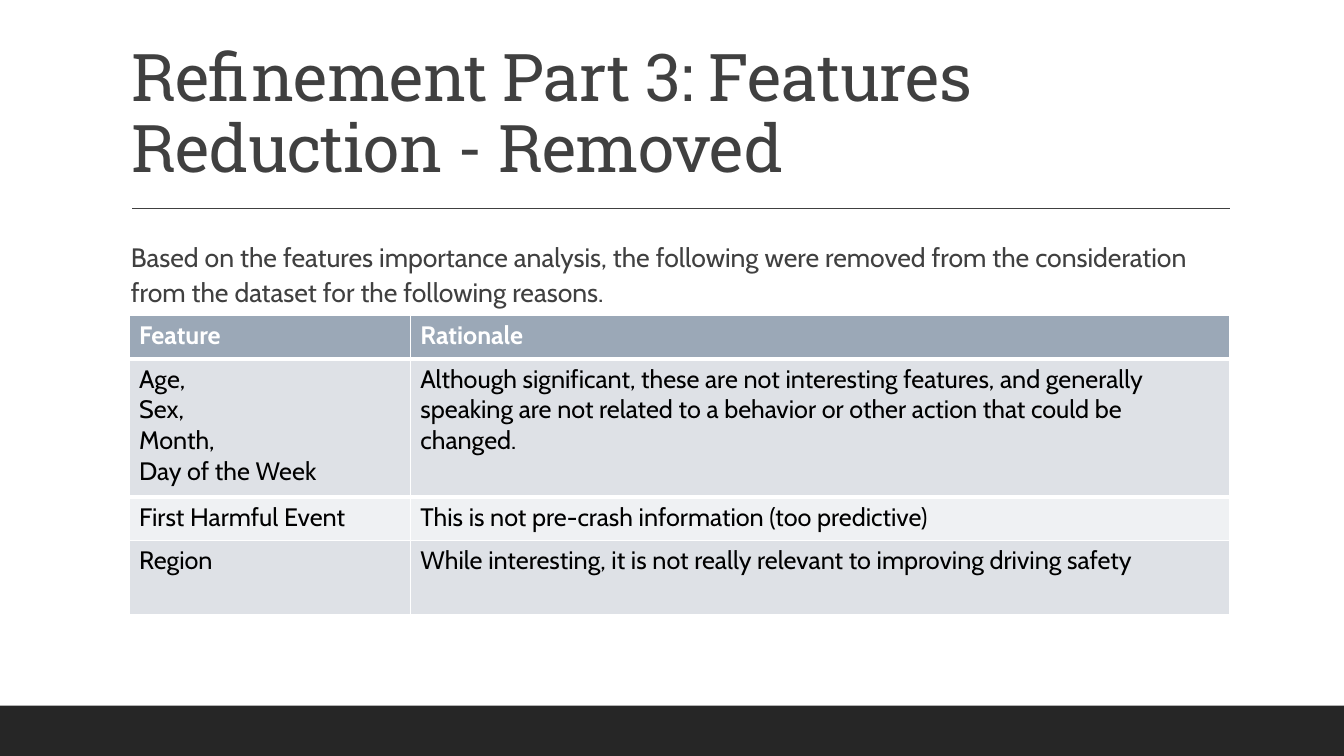
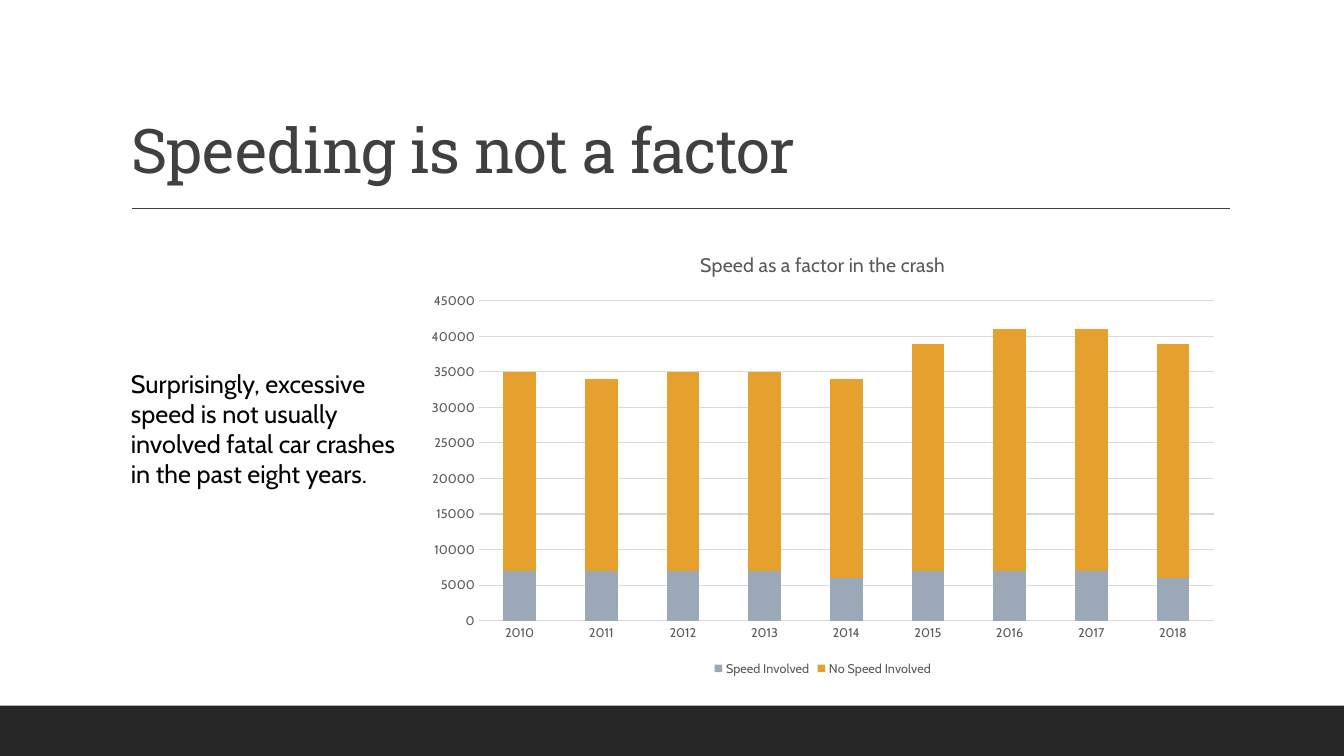
from lxml import etree
from pptx import Presentation
from pptx.chart.data import CategoryChartData
from pptx.dml.color import RGBColor
from pptx.enum import chart as ch, shapes, text
from pptx.oxml.ns import qn
from pptx.util import Inches, Pt

HEAD, BODY = "Roboto Slab", "Cabin"
BLACK = RGBColor(0, 0, 0)
WHITE = RGBColor(0xFF, 0xFF, 0xFF)
BAND = RGBColor(0x26, 0x26, 0x26)
DARK = RGBColor(0x40, 0x40, 0x40)
GREY = RGBColor(0x59, 0x59, 0x59)
GRID = RGBColor(0xD9, 0xD9, 0xD9)
SLATE = RGBColor(0x9B, 0xA8, 0xB7)
AMBER = RGBColor(0xE6, 0xA0, 0x2E)
ODD = RGBColor(0xDE, 0xE1, 0xE6)
EVEN = RGBColor(0xEF, 0xF1, 0xF3)

INTRO = ("Based on the features importance analysis, the following were removed "
         "from the consideration from the dataset for the following reasons.")
COLS = (2.79, 8.13)
ROWS = [
    (0.43, "Feature", "Rationale"),
    (1.37, "Age,\nSex,\nMonth,\nDay of the Week",
     "Although significant, these are not interesting features, and generally "
     "speaking are not related to a behavior or other action that could be changed."),
    (0.43, "First Harmful Event", "This is not pre-crash information (too predictive)"),
    (0.74, "Region",
     "While interesting, it is not really relevant to improving driving safety"),
]
CLAIM = ("Surprisingly, excessive speed is not usually involved fatal car crashes "
         "in the past eight years.")
YEARS = [str(year) for year in range(2010, 2019)]
SERIES = [
    ("Speed Involved", SLATE,
     (7000, 7000, 7000, 7000, 6000, 7000, 7000, 7000, 6000)),
    ("No Speed Involved", AMBER,
     (28000, 27000, 28000, 28000, 28000, 32000, 34000, 34000, 33000)),
]


def style(font, size, color, name=BODY, bold=False):
    font.size, font.name, font.bold = Pt(size), name, bold
    font.color.rgb = color


def box(*sides):
    return [Inches(side) for side in sides]


def add_slide(deck, title, size):
    """Add a slide with the shared title, rule and bottom band."""
    slide = deck.slides.add_slide(deck.slide_layouts[5])
    band = slide.shapes.add_shape(shapes.MSO_SHAPE.RECTANGLE, *box(0, 7, 13.33, 0.5))
    band.shadow.inherit = False
    band.fill.solid()
    band.fill.fore_color.rgb = BAND
    band.line.fill.background()

    rule = slide.shapes.add_connector(
        shapes.MSO_CONNECTOR.STRAIGHT, *box(1.31, 2.07, 12.2, 2.07))
    rule.line.color.rgb, rule.line.width = DARK, Pt(1)
    etree.SubElement(rule._element.spPr, qn("a:effectLst"))

    head = slide.shapes.title
    head.left, head.top, head.width, head.height = box(1.2, 0.31, 11, 1.59)
    frame = head.text_frame
    frame.text = title
    frame.word_wrap = True
    frame.auto_size = text.MSO_AUTO_SIZE.NONE
    frame.vertical_anchor = text.MSO_ANCHOR.BOTTOM
    para = frame.paragraphs[0]
    para.alignment = text.PP_ALIGN.LEFT
    para.line_spacing = 0.9
    style(para.font, size, DARK, HEAD)
    para.runs[0]._r.get_or_add_rPr().set("spc", "-50")
    return slide


def add_text(slide, words, place, size, color):
    frame = slide.shapes.add_textbox(*box(*place)).text_frame
    frame.word_wrap = True
    frame.text = words
    para = frame.paragraphs[0]
    style(para.font, size, color)
    return para


def add_edge(cell, side):
    """Draw a heavy white border on one side of a cell."""
    edge = etree.Element(qn("a:" + side), w=str(Pt(3)))
    fill = etree.SubElement(edge, qn("a:solidFill"))
    etree.SubElement(fill, qn("a:srgbClr"), val=str(WHITE))
    cell._tc.get_or_add_tcPr().insert(0, edge)


def add_table(slide):
    high = sum(row[0] for row in ROWS)
    table = slide.shapes.add_table(
        len(ROWS), len(COLS), *box(1.28, 3.13, sum(COLS), high)).table
    for col, width in zip(table.columns, COLS):
        col.width = Inches(width)
    for r, (height, *words) in enumerate(ROWS):
        table.rows[r].height = Inches(height)
        fill = SLATE if r == 0 else ODD if r % 2 else EVEN
        for c, word in enumerate(words):
            cell = table.cell(r, c)
            cell.text = word
            cell.fill.solid()
            cell.fill.fore_color.rgb = fill
            if r < 2:
                add_edge(cell, "lnT" if r else "lnB")
            for para in cell.text_frame.paragraphs:
                style(para.font, 18, BLACK if r else WHITE, bold=r == 0)


def add_chart(slide):
    data = CategoryChartData()
    data.categories = YEARS
    for name, _, vals in SERIES:
        data.add_series(name, vals)
    chart = slide.shapes.add_chart(
        ch.XL_CHART_TYPE.COLUMN_STACKED, *box(4.12, 2.32, 8.08, 4.43), data).chart
    style(chart.font, 10, BLACK)

    chart.has_title = True
    chart.chart_title.include_in_layout = False
    frame = chart.chart_title.text_frame
    frame.text = "Speed as a factor in the crash"
    style(frame.paragraphs[0].font, 14, GREY)

    chart.has_legend = True
    chart.legend.position = ch.XL_LEGEND_POSITION.BOTTOM
    chart.legend.include_in_layout = False
    style(chart.legend.font, 9, GREY)

    plot = chart.plots[0]
    plot.gap_width, plot.overlap = 150, 100
    plot.vary_by_categories = False
    for series, (_, color, _) in zip(plot.series, SERIES):
        series.format.fill.solid()
        series.format.fill.fore_color.rgb = color

    years, count = chart.category_axis, chart.value_axis
    for axis in (years, count):
        axis.major_tick_mark = axis.minor_tick_mark = ch.XL_TICK_MARK.NONE
        style(axis.tick_labels.font, 9, GREY)
    count.minimum_scale, count.maximum_scale, count.major_unit = 0, 45000, 5000
    count.format.line.fill.background()
    for line in (years.format.line, count.major_gridlines.format.line):
        line.color.rgb, line.width = GRID, Pt(0.75)


def main():
    deck = Presentation()
    deck.slide_width, deck.slide_height = box(13.33, 7.5)

    slide = add_slide(deck, "Refinement Part 3: Features Reduction - Removed", 47)
    intro = add_text(slide, INTRO, (1.2, 2.31, 11, 0.88), 19, DARK)
    intro.line_spacing = 1.1
    add_table(slide)

    slide = add_slide(deck, "Speeding is not a factor", 44)
    add_chart(slide)
    add_text(slide, CLAIM, (1.2, 3.6, 2.92, 1.31), 18, BLACK)

    deck.save("out.pptx")


if __name__ == "__main__":
    main()
